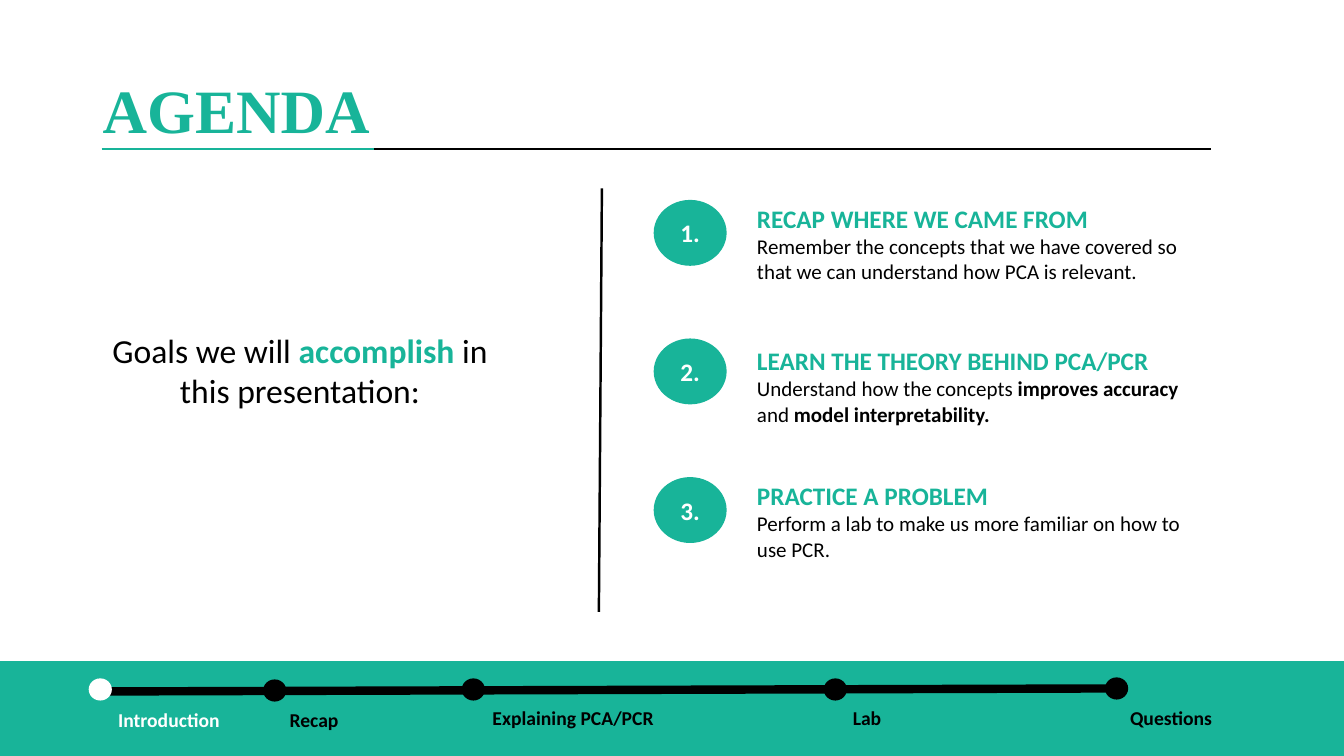
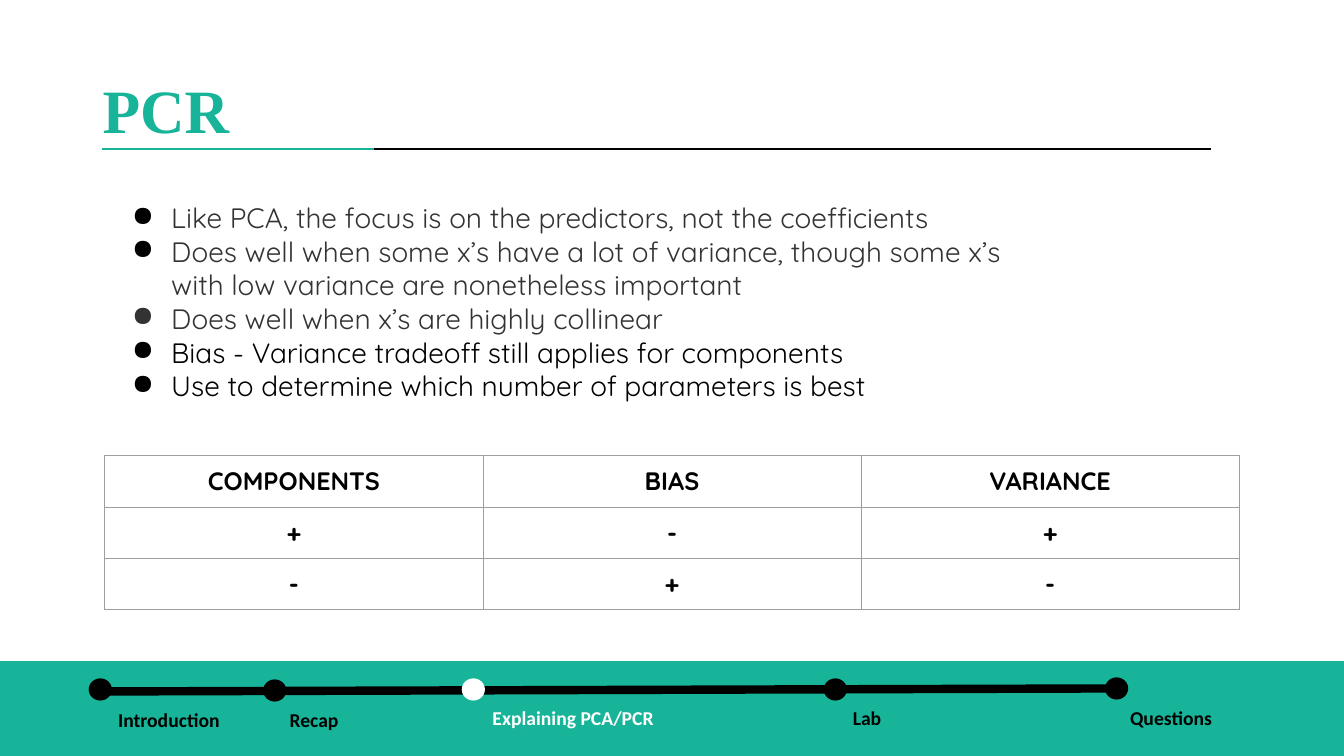
from dataclasses import dataclass

from lxml.etree import SubElement
from pptx import Presentation
from pptx.dml.color import RGBColor
from pptx.enum.shapes import MSO_CONNECTOR, MSO_SHAPE
from pptx.enum.text import MSO_ANCHOR, PP_ALIGN
from pptx.oxml import parse_xml
from pptx.oxml.ns import nsdecls, qn
from pptx.util import Inches, Pt


@dataclass(frozen=True)
class Theme:
    accent: RGBColor = RGBColor.from_string("18B499")
    black: RGBColor = RGBColor.from_string("000000")
    white: RGBColor = RGBColor.from_string("FFFFFF")
    gray: RGBColor = RGBColor.from_string("333333")
    border: str = "9E9E9E"
    title_font: str = "Times New Roman"
    text_font: str = "Calibri"
    body_font: str = "Quicksand"
    title_size: int = 44
    goal_size: int = 24
    bullet_size: int = 20
    heading_size: int = 18
    detail_size: int = 15
    label_size: int = 14


theme = Theme()


def write_text(frame, paragraphs, font_name, align=PP_ALIGN.LEFT, anchor=MSO_ANCHOR.TOP):
    frame.word_wrap = True
    frame.vertical_anchor = anchor
    for index, runs in enumerate(paragraphs):
        paragraph = frame.paragraphs[0] if index == 0 else frame.add_paragraph()
        paragraph.alignment = align
        for text, size, color, bold in runs:
            run = paragraph.add_run()
            run.text = text
            run.font.name = font_name
            run.font.size = Pt(size)
            run.font.color.rgb = color
            run.font.bold = bold


def add_line(slide, start, end, color, width):
    line = slide.shapes.add_connector(
        MSO_CONNECTOR.STRAIGHT, *[Inches(value) for value in start + end]
    )
    line.line.color.rgb = color
    line.line.width = Pt(width)
    SubElement(line._element.spPr, qn("a:effectLst"))


presentation = Presentation()
presentation.slide_width = Inches(13.33)
presentation.slide_height = Inches(7.5)

stops = [
    ("Introduction", (0.77, 6.72, 1.81), (0.88, 6.73)),
    ("Recap", (2.21, 6.72, 1.81), (2.61, 6.74)),
    ("Explaining PCA/PCR", (4.65, 6.71, 2.07), (4.58, 6.73)),
    ("Lab", (7.15, 6.7, 2.9), (8.17, 6.73)),
    ("Questions", (10.88, 6.7, 1.47), (10.96, 6.72)),
]

slides = []
for title, current_stop in [("AGENDA", "Introduction"), ("PCR", "Explaining PCA/PCR")]:
    slide = presentation.slides.add_slide(presentation.slide_layouts[6])
    slides.append(slide)

    band = slide.shapes.add_shape(
        MSO_SHAPE.RECTANGLE, 0, Inches(6.56), presentation.slide_width, Inches(0.94)
    )
    band.shadow.inherit = False
    band.fill.solid()
    band.fill.fore_color.rgb = theme.accent
    band.line.fill.background()
    add_line(slide, (0.98, 6.86), (11.01, 6.83), theme.black, 6)

    title_box = slide.shapes.add_textbox(Inches(0.92), Inches(0.4), Inches(11.5), Inches(1.45))
    write_text(
        title_box.text_frame,
        [[(title, theme.title_size, theme.accent, True)]],
        theme.title_font,
        anchor=MSO_ANCHOR.MIDDLE,
    )
    title_box.text_frame.paragraphs[0].line_spacing = 0.9
    add_line(slide, (1.01, 1.48), (12.01, 1.48), theme.black, 1.5)
    add_line(slide, (1.01, 1.48), (3.71, 1.48), theme.accent, 1.5)

    for name, (left, top, width), (dot_left, dot_top) in stops:
        color = theme.white if name == current_stop else theme.black
        label = slide.shapes.add_textbox(Inches(left), Inches(top), Inches(width), Inches(0.83))
        write_text(
            label.text_frame,
            [[(name, theme.label_size, color, True)]],
            theme.text_font,
            PP_ALIGN.CENTER,
            MSO_ANCHOR.MIDDLE,
        )
        dot = slide.shapes.add_shape(
            MSO_SHAPE.OVAL, Inches(dot_left), Inches(dot_top), Inches(0.23), Inches(0.22)
        )
        dot.shadow.inherit = False
        dot.fill.solid()
        dot.fill.fore_color.rgb = color
        dot.line.fill.background()

agenda, pcr = slides

add_line(agenda, (5.97, 1.87), (5.94, 6.07), theme.black, 1.75)
goal_box = agenda.shapes.add_textbox(Inches(0.98), Inches(3.22), Inches(3.99), Inches(0.71))
write_text(
    goal_box.text_frame,
    [[
        ("Goals we will ", theme.goal_size, theme.black, False),
        ("accomplish", theme.goal_size, theme.accent, True),
        (" in this presentation:", theme.goal_size, theme.black, False),
    ]],
    theme.text_font,
    PP_ALIGN.CENTER,
)

goals = [
    (1.97, "RECAP WHERE WE CAME FROM", [
        ("Remember the concepts that we have covered so that we can understand "
         "how PCA is relevant.", False),
    ]),
    (3.38, "LEARN THE THEORY BEHIND PCA/PCR", [
        ("Understand how the concepts ", False),
        ("improves accuracy ", True),
        ("and", False),
        (" model interpretability.", True),
    ]),
    (4.72, "PRACTICE A PROBLEM", [
        ("Perform a lab to make us more familiar on how to use PCR.", False),
    ]),
]
for index, (top, heading, details) in enumerate(goals):
    number = agenda.shapes.add_shape(
        MSO_SHAPE.FLOWCHART_CONNECTOR,
        Inches(6.49), Inches(1.99 + 1.375 * index), Inches(0.71), Inches(0.64),
    )
    number.shadow.inherit = False
    number.fill.solid()
    number.fill.fore_color.rgb = theme.accent
    number.line.color.rgb = theme.accent
    number.line.width = Pt(1)
    write_text(
        number.text_frame,
        [[(f"{index + 1}.", theme.heading_size, theme.white, True)]],
        theme.text_font,
        PP_ALIGN.CENTER,
        MSO_ANCHOR.MIDDLE,
    )
    goal_text = agenda.shapes.add_textbox(Inches(7.41), Inches(top), Inches(4.47), Inches(0.79))
    write_text(
        goal_text.text_frame,
        [
            [(heading, theme.heading_size, theme.accent, True)],
            [(text, theme.detail_size, theme.black, bold) for text, bold in details],
        ],
        theme.text_font,
    )

bullets = [
    ("Like PCA, the focus is on the predictors, not the coefficients", theme.gray, theme.black),
    ("Does well when some x’s have a lot of variance, though some x’s with low variance "
     "are nonetheless important", theme.gray, theme.black),
    ("Does well when x’s are highly collinear", theme.gray, theme.gray),
    ("Bias - Variance tradeoff still applies for components", theme.black, theme.black),
    ("Use to determine which number of parameters is best", theme.black, theme.black),
]
bullet_box = pcr.shapes.add_textbox(Inches(1.1), Inches(1.89), Inches(9.21), Inches(2.2))
bullet_frame = bullet_box.text_frame
bullet_frame.margin_top = bullet_frame.margin_bottom = Inches(0.1)
write_text(
    bullet_frame,
    [[(text, theme.bullet_size, color, False)] for text, color, _ in bullets],
    theme.body_font,
)
for paragraph, (_, _, bullet_color) in zip(bullet_frame.paragraphs, bullets):
    properties = paragraph._p.get_or_add_pPr()
    properties.set("marL", str(Inches(0.5)))
    properties.set("indent", str(Inches(-0.39)))
    color_element = SubElement(properties, qn("a:buClr"))
    SubElement(color_element, qn("a:srgbClr"), val=str(bullet_color))
    SubElement(properties, qn("a:buChar"), char="●")

rows = [("COMPONENTS", "BIAS", "VARIANCE"), ("+", "-", "+"), ("-", "+", "-")]
table = pcr.shapes.add_table(
    3, 3, Inches(1.04), Inches(4.52), Inches(11.25), Inches(1.53)
).table
table.first_row = False
table.horz_banding = False
for column in table.columns:
    column.width = Inches(3.75)
for row_index, values in enumerate(rows):
    table.rows[row_index].height = Inches(0.51)
    for column_index, value in enumerate(values):
        cell = table.cell(row_index, column_index)
        cell.margin_left = cell.margin_right = Inches(0.1)
        cell.margin_top = cell.margin_bottom = Inches(0.1)
        cell.text_frame.text = value
        paragraph = cell.text_frame.paragraphs[0]
        paragraph.alignment = PP_ALIGN.CENTER
        font = paragraph.runs[0].font
        font.name = theme.body_font
        font.size = Pt(theme.heading_size)
        font.bold = True
        font.color.rgb = theme.black
        for side in ("lnL", "lnR", "lnT", "lnB"):
            cell._tc.get_or_add_tcPr().append(parse_xml(
                f'<a:{side} {nsdecls("a")} w="{Pt(0.75)}"><a:solidFill>'
                f'<a:srgbClr val="{theme.border}"/></a:solidFill></a:{side}>'
            ))
        cell.fill.background()

presentation.save("out.pptx")
